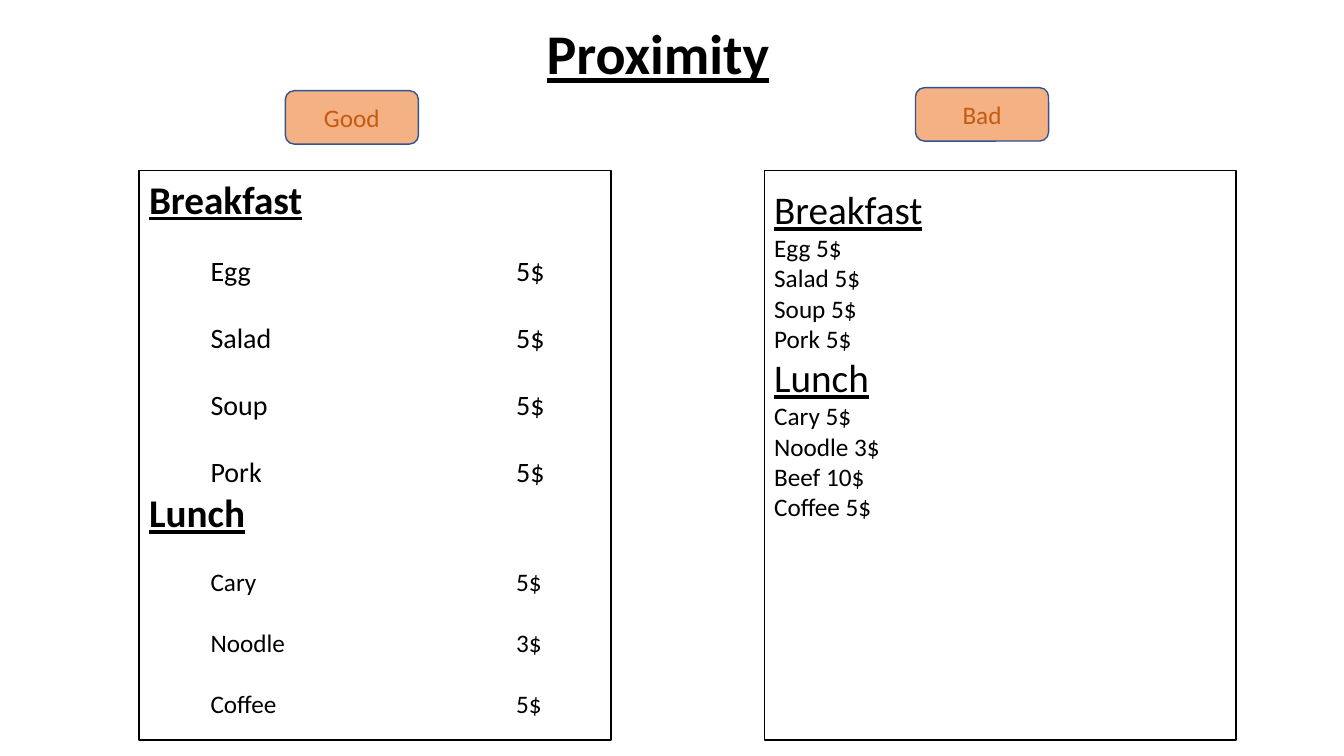
"""Build the slide that compares a good and a bad menu layout for proximity."""
from dataclasses import dataclass

from lxml import etree
from pptx import Presentation
from pptx.dml.color import RGBColor
from pptx.enum.shapes import MSO_SHAPE
from pptx.enum.text import MSO_ANCHOR, PP_ALIGN
from pptx.oxml.ns import qn
from pptx.util import Emu, Pt

EMU_PER_PX = 9144
RECT, ROUNDED = MSO_SHAPE.RECTANGLE, MSO_SHAPE.ROUNDED_RECTANGLE
TOP, MIDDLE, BOTTOM = MSO_ANCHOR.TOP, MSO_ANCHOR.MIDDLE, MSO_ANCHOR.BOTTOM
LEFT, CENTER = PP_ALIGN.LEFT, PP_ALIGN.CENTER
FONT = "Calibri"
COLORS = {"ink": "000000", "paper": "FFFFFF", "label": "F4B183",
          "label_line": "325491", "label_text": "C55A11"}
MENU_TOP, MENU_WIDTH, MENU_HEIGHT = 169, 468, 565
LABEL_WIDTH, LABEL_HEIGHT = 132, 53
DISH_TABS = (61, 364)


@dataclass(frozen=True)
class Course:
    name: str
    dishes: tuple[tuple[str, str], ...]
    size: int = 18
    gap: int = 22


@dataclass(frozen=True)
class Menu:
    label: str
    label_left: int
    label_top: int
    left: int
    inset: int
    spaced: bool
    courses: tuple[Course, ...]


BREAKFAST = (("Egg", "5$"), ("Salad", "5$"), ("Soup", "5$"), ("Pork", "5$"))
MENUS = (
    Menu("Good", 283, 90, 138, 5, True, (
        Course("Breakfast", BREAKFAST, size=20, gap=24),
        Course("Lunch", (("Cary", "5$"), ("Noodle", "3$"), ("Coffee", "5$"))))),
    Menu("Bad", 908, 87, 758, 15, False, (
        Course("Breakfast", BREAKFAST),
        Course("Lunch", (("Cary", "5$"), ("Noodle", "3$"),
                         ("Beef", "10$"), ("Coffee", "5$"))))),
)


def px(length: int) -> Emu:
    """Convert px to EMU."""
    return Emu(length * EMU_PER_PX)


def write(frame, text: str, *, size: int, color: str = "ink", bold: bool = False,
          underline: bool = False, align=LEFT, before: int = 0,
          spacing: float = 1.0, tabs: tuple[int, ...] = ()) -> None:
    """Add one formatted paragraph, using the first one while it is empty."""
    first = frame.paragraphs[0]
    line = frame.add_paragraph() if first.runs else first
    line.alignment = align
    line.space_before = Pt(before)
    line.line_spacing = spacing
    if tabs:
        stops = etree.SubElement(line._p.get_or_add_pPr(), qn("a:tabLst"))
        for stop in tabs:
            etree.SubElement(stops, qn("a:tab"), pos=str(px(stop)), algn="l")
    run = line.add_run()
    run.text = text
    run.font.name = FONT
    run.font.size = Pt(size)
    run.font.bold = bold
    run.font.underline = underline
    run.font.color.rgb = RGBColor.from_string(COLORS[color])


def add_panel(slide, kind, left: int, top: int, width: int, height: int,
              fill: str, line: str, anchor):
    """Draw an outlined shape and return its text frame."""
    panel = slide.shapes.add_shape(kind, px(left), px(top), px(width), px(height))
    panel.shadow.inherit = False
    panel.fill.solid()
    panel.fill.fore_color.rgb = RGBColor.from_string(COLORS[fill])
    panel.line.color.rgb = RGBColor.from_string(COLORS[line])
    panel.line.width = Pt(1)
    panel.text_frame.vertical_anchor = anchor
    return panel.text_frame


def add_menu(slide, menu: Menu) -> None:
    """Draw a menu card and the label above it."""
    card = add_panel(slide, RECT, menu.left, MENU_TOP, MENU_WIDTH, MENU_HEIGHT,
                     "paper", "ink", TOP)
    card.margin_top = px(menu.inset)
    for course in menu.courses:
        write(card, course.name, size=28, bold=menu.spaced, underline=True)
        for index, (dish, price) in enumerate(course.dishes):
            if menu.spaced:
                write(card, f"\t{dish}\t{price}", size=course.size, tabs=DISH_TABS,
                      before=course.gap if index else 22)
            else:
                write(card, f"{dish} {price}", size=course.size)
    label = add_panel(slide, ROUNDED, menu.label_left, menu.label_top, LABEL_WIDTH,
                      LABEL_HEIGHT, "label", "label_line", MIDDLE)
    write(label, menu.label, size=18, color="label_text", align=CENTER)


def main() -> None:
    """Create and save the presentation."""
    deck = Presentation()
    deck.slide_width, deck.slide_height = px(1333), px(750)
    slide = deck.slides.add_slide(deck.slide_layouts[6])
    title = slide.shapes.add_textbox(px(514), px(16), px(277), px(75)).text_frame
    title.word_wrap = True
    title.vertical_anchor = BOTTOM
    write(title, "Proximity", size=40, bold=True, underline=True, align=CENTER,
          spacing=0.9)
    for menu in MENUS:
        add_menu(slide, menu)
    deck.save("out.pptx")


if __name__ == "__main__":
    main()
